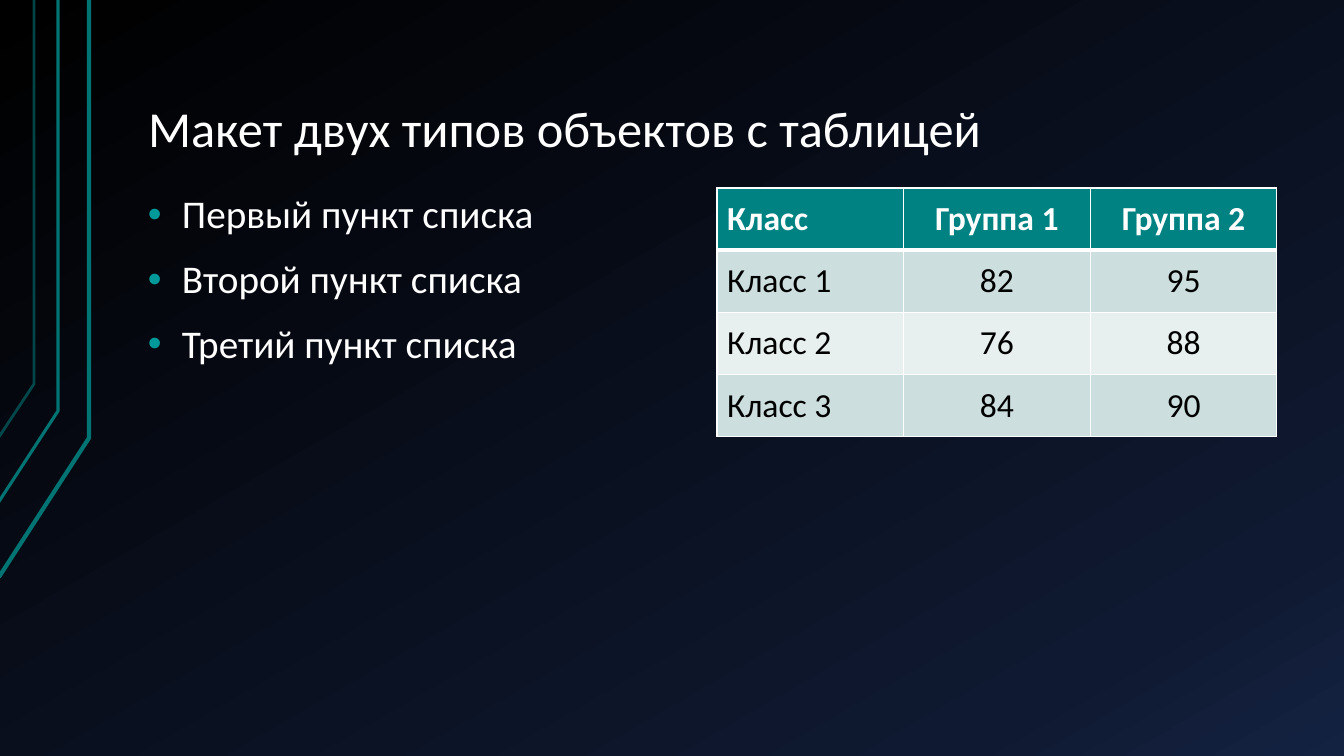
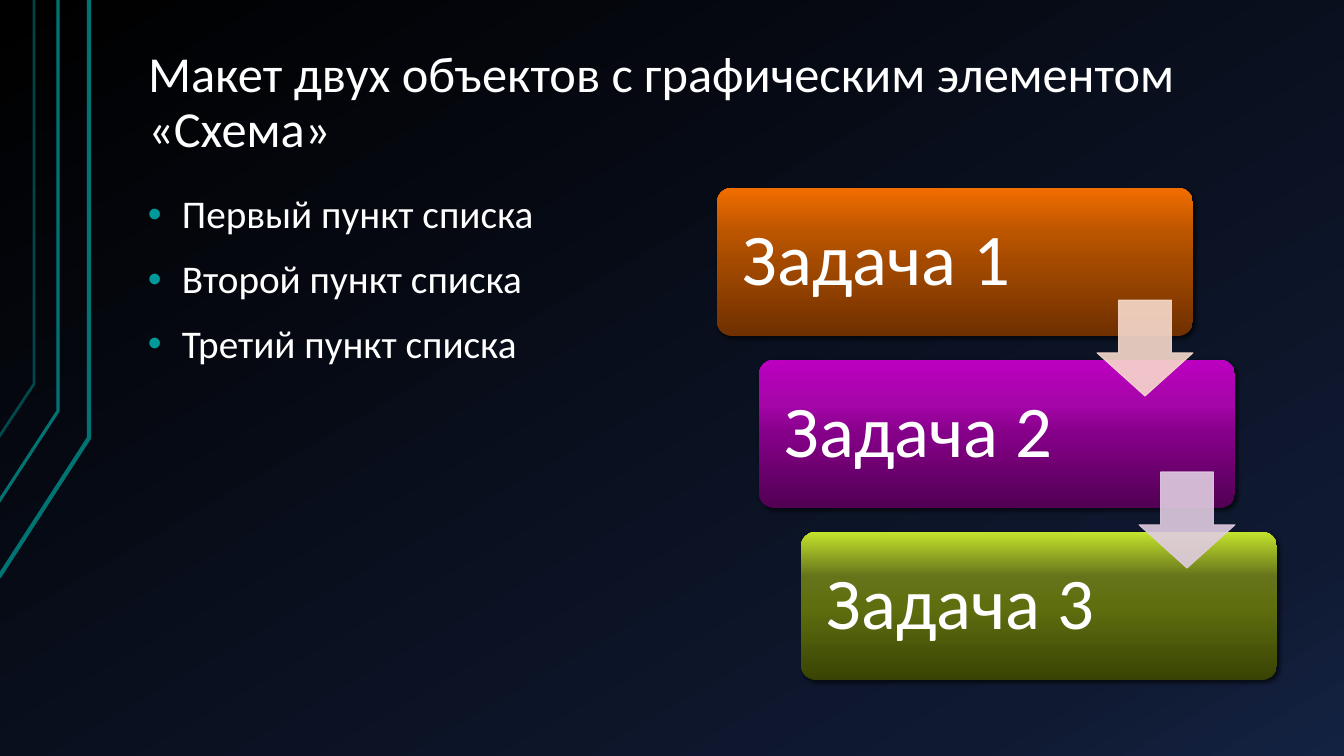
from pptx import Presentation
from pptx.dml.color import RGBColor
from pptx.enum.shapes import MSO_SHAPE
from pptx.enum.text import MSO_ANCHOR, PP_ALIGN
from pptx.oxml import parse_xml
from pptx.oxml.ns import nsdecls, qn
from pptx.util import Pt
from lxml.etree import SubElement

PIXEL = 914400 / 100.8
WHITE, BLACK = "FFFFFF", "000000"
TEAL, BULLET = "007373", "009999"
HEADER, BAND_DARK, BAND_LIGHT = "008282", "CCDEDE", "E7EFEF"
BACKGROUND = [(0, BLACK), (85, "0F1931"), (100, "142242")]


def paint(fill, color, owner=None, angle=90):
    if isinstance(color, str):
        fill.solid()
        fill.fore_color.rgb = RGBColor.from_string(color)
        return
    fill.gradient()
    fill.gradient_angle = angle
    stops = owner.find(".//" + qn("a:gsLst"))
    for stop in list(stops):
        stops.remove(stop)
    for position, value in color:
        stop = SubElement(stops, qn("a:gs"), pos=str(position * 1000))
        SubElement(stop, qn("a:srgbClr"), val=value)


def write(frame, *lines, size, color=WHITE, bold=False, align=PP_ALIGN.LEFT,
          anchor=MSO_ANCHOR.TOP, margins=None, spacing=None, before=None, indent=0):
    frame.word_wrap = True
    frame.vertical_anchor = anchor
    if margins:
        across, down = [round(margin * PIXEL) for margin in margins]
        frame.margin_left = frame.margin_right = across
        frame.margin_top = frame.margin_bottom = down
    for index, line in enumerate(lines):
        paragraph = frame.add_paragraph() if index else frame.paragraphs[0]
        paragraph.alignment = align
        paragraph.line_spacing = spacing
        paragraph.space_before = before
        run = paragraph.add_run()
        run.text = line
        run.font.name = "Calibri"
        run.font.size = Pt(size)
        run.font.bold = bold
        paint(run.font.fill, color)
        if indent:
            properties = paragraph._p.get_or_add_pPr()
            properties.set("marL", str(round(indent * PIXEL)))
            properties.set("indent", str(round(-indent * PIXEL)))
            bullet_color = SubElement(properties, qn("a:buClr"))
            SubElement(bullet_color, qn("a:srgbClr"), val=BULLET)
            SubElement(properties, qn("a:buFont"), typeface="Arial")
            SubElement(properties, qn("a:buChar"), char="•")


presentation = Presentation()
presentation.slide_width = round(1344 * PIXEL)
presentation.slide_height = round(756 * PIXEL)

title_box = [round(value * PIXEL) for value in (134, 30, 1142, 135)]
list_box = [round(value * PIXEL) for value in (134, 188, 559, 492)]
rails = [
    ([(-1, 577), (89, 438), (89, 0)], 3, 100),
    ([(-2, 503), (58, 411), (58, 0)], 2.25, 100),
    ([(-1, 437), (34, 384), (34, 0)], 2, 60),
]
titles = [
    "Макет двух типов объектов с таблицей",
    "Макет двух объектов с графическим элементом «Схема»",
]
slides = []
for title in titles:
    slide = presentation.slides.add_slide(presentation.slide_layouts[6])
    slides.append(slide)
    paint(slide.background.fill, BACKGROUND, slide.element, 300)
    for points, width, opacity in rails:
        builder = slide.shapes.build_freeform(*points[0], scale=PIXEL)
        builder.add_line_segments(points[1:], close=False)
        rail = builder.convert_to_shape()
        rail.shadow.inherit = False
        rail.fill.background()
        paint(rail.line.fill, TEAL)
        rail.line.width = Pt(width)
        if opacity < 100:
            rail_color = rail.element.spPr.find(".//" + qn("a:srgbClr"))
            SubElement(rail_color, qn("a:alpha"), val=str(opacity * 1000))
    write(slide.shapes.add_textbox(*title_box).text_frame, title, size=36,
          anchor=MSO_ANCHOR.BOTTOM, margins=(14, 7), spacing=0.9)
    write(slide.shapes.add_textbox(*list_box).text_frame,
          "Первый пункт списка", "Второй пункт списка", "Третий пункт списка",
          size=28, margins=(14, 7), spacing=0.9, before=Pt(16), indent=34)

table_slide, task_slide = slides

scores = [
    ("Класс", "Группа 1", "Группа 2"),
    ("Класс 1", "82", "95"),
    ("Класс 2", "76", "88"),
    ("Класс 3", "84", "90"),
]
table_box = [round(value * PIXEL) for value in (717, 188, 560, 249)]
table = table_slide.shapes.add_table(4, 3, *table_box).table
table.horz_banding = False
for row_index, row in enumerate(scores):
    header = row_index == 0
    band = HEADER if header else BAND_DARK if row_index % 2 else BAND_LIGHT
    edges = {"L": 1, "R": 1, "T": 3 if row_index == 1 else 1, "B": 3 if header else 1}
    for column_index, value in enumerate(row):
        cell = table.cell(row_index, column_index)
        write(cell.text_frame, value, size=24, color=WHITE if header else BLACK, bold=header,
              align=PP_ALIGN.CENTER if column_index else PP_ALIGN.LEFT)
        cell.vertical_anchor = MSO_ANCHOR.MIDDLE
        for edge, width in edges.items():
            cell._tc.get_or_add_tcPr().append(parse_xml(
                f'<a:ln{edge} {nsdecls("a")} w="{Pt(width)}"><a:solidFill>'
                f'<a:srgbClr val="{WHITE}"/></a:solidFill></a:ln{edge}>'))
        paint(cell.fill, band)

step_x, step_y = 42, 172
tasks = [
    ("Задача 1", [(0, "703000"), (50, "A44A00"), (70, "BC5500"), (100, "F26D00")]),
    ("Задача 2", [(0, "520054"), (50, "850088"), (70, "A505A9"), (100, "BC00C0")]),
    ("Задача 3", [(0, "394404"), (50, "5F6F0F"), (70, "65741A"), (100, "C4E32D")]),
]
for index, (label, gradient) in enumerate(tasks):
    left, top = 717 + index * step_x, 188 + index * step_y
    card_box = [round(value * PIXEL) for value in (left, top, 476, 148)]
    card = task_slide.shapes.add_shape(MSO_SHAPE.ROUNDED_RECTANGLE, *card_box)
    card.adjustments[0] = 0.1
    card.shadow.inherit = False
    card.line.fill.background()
    paint(card.fill, gradient, card.element)
    card.element.spPr.find(qn("a:effectLst")).append(parse_xml(
        f'<a:outerShdw {nsdecls("a")} blurRad="{Pt(3)}" dist="{Pt(2)}" dir="2700000">'
        f'<a:srgbClr val="{BLACK}"><a:alpha val="60000"/></a:srgbClr></a:outerShdw>'))
    label_box = [round(value * PIXEL) for value in (left + 4, top + 4, 330, 139)]
    write(task_slide.shapes.add_textbox(*label_box).text_frame, label, size=52,
          anchor=MSO_ANCHOR.MIDDLE, margins=(22, 22), spacing=0.9)

for index, color in enumerate(["F7DACC", "E0CCE1"]):
    arrow_box = [round(value * PIXEL)
                 for value in (1097 + index * step_x, 300 + index * step_y, 96, 96)]
    arrow = task_slide.shapes.add_shape(MSO_SHAPE.DOWN_ARROW, *arrow_box)
    arrow.adjustments[0] = 0.55
    arrow.adjustments[1] = 0.45
    arrow.shadow.inherit = False
    paint(arrow.fill, color)
    paint(arrow.line.fill, color)
    arrow.line.width = Pt(0.75)
    for arrow_color in arrow.element.spPr.iter(qn("a:srgbClr")):
        SubElement(arrow_color, qn("a:alpha"), val="90000")

presentation.save("out.pptx")
